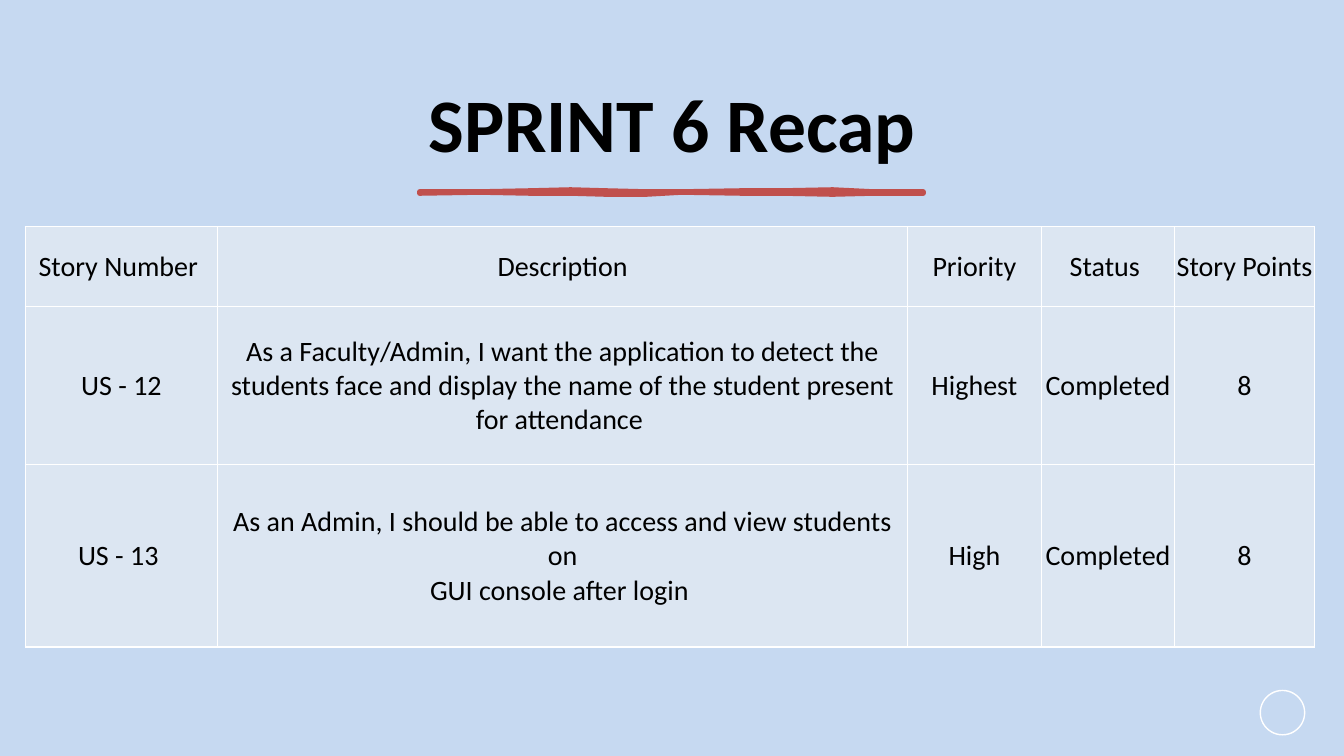
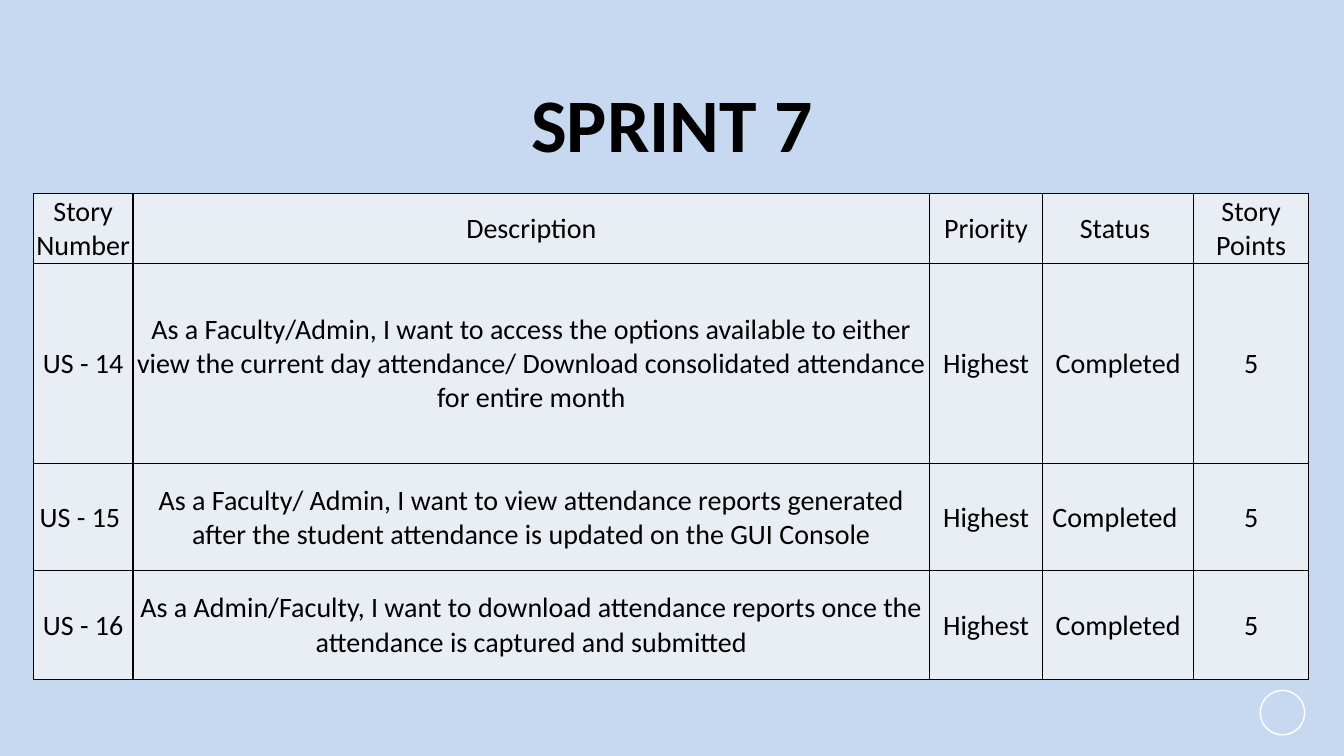
import dataclasses

import lxml.etree
import pptx
import pptx.dml.color
import pptx.enum.shapes
import pptx.enum.text
import pptx.oxml.ns
import pptx.util

Inches = pptx.util.Inches


@dataclasses.dataclass(frozen=True)
class Theme:
    font: str = "Calibri"
    background: str = "C6D9F1"
    text: str = "000000"
    accent: str = "C0504D"
    ring: str = "FFFFFF"
    title_size: int = 54
    table_size: int = 20
    thin_line: float = 1
    accent_line: float = 3.25


@dataclasses.dataclass(frozen=True)
class Box:
    left: float
    top: float
    width: float
    height: float

    def lengths(self):
        return [Inches(side) for side in dataclasses.astuple(self)]


@dataclasses.dataclass(frozen=True)
class TableStyle:
    fill: str
    border: str


THEME = Theme()
TITLE_BOX = Box(0.7, 0.46, 11.93, 1.63)
UNDERLINE_BOX = Box(4.16, 1.9, 5, 0.02)
RING_BOX = Box(12.5, 6.85, 0.44, 0.44)
LIGHT_STYLE = TableStyle(fill="DCE6F2", border="FFFFFF")
GRID_STYLE = TableStyle(fill="E9EDF4", border="000000")

HEADINGS = ("Story Number ", "Description", "Priority", "Status ", "Story Points")
SPRINT_6_STORIES = (
    ("US - 12",
     "As a Faculty/Admin, I want the application to detect the students face "
     "and display the name of the student present for attendance ",
     "Highest", "Completed ", "8"),
    ("US - 13 ",
     "As an Admin, I should be able to access and view students on\v"
     "GUI console after login ",
     "High", "Completed ", "8"),
)
SPRINT_7_STORIES = (
    ("US - 14",
     "As a Faculty/Admin, I want to access the options available to either view "
     "the current day attendance/ Download consolidated attendance for entire month",
     "Highest", "Completed", "5"),
    ("US - 15 ",
     "As a Faculty/ Admin, I want to view attendance reports generated after "
     "the student attendance is updated on the GUI Console",
     "Highest", "Completed ", "5"),
    ("US - 16",
     "As a Admin/Faculty, I want to download attendance reports once "
     "the attendance is captured and submitted",
     "Highest", "Completed", "5"),
)

# Distance along the stroke, then its upper and lower edge, in inches
BRUSH_EDGES = (
    (0, 0, 0.02), (0.6, 0, 0.01), (1.1, -0.01, 0.02), (1.5, -0.02, 0.02),
    (1.85, -0.01, 0.03), (2.25, 0, 0.03), (2.6, 0, 0.01), (3.2, -0.01, 0.02),
    (3.6, -0.01, 0.02), (4.1, -0.02, 0.03), (4.5, 0, 0.02), (5, 0, 0.02),
)


def rgb(value):
    return pptx.dml.color.RGBColor.from_string(value)


def paint(fill, color):
    fill.solid()
    fill.fore_color.rgb = rgb(color)


def format_text(frame, size, bold=False):
    for para in frame.paragraphs:
        para.alignment = pptx.enum.text.PP_ALIGN.CENTER
        for span in para.runs:
            span.font.name = THEME.font
            span.font.size = pptx.util.Pt(size)
            span.font.bold = bold
            span.font.color.rgb = rgb(THEME.text)


def place_title(page, box, text):
    title = page.shapes.title
    title.left, title.top, title.width, title.height = box.lengths()
    frame = title.text_frame
    frame.text = text
    frame.word_wrap = True
    frame.auto_size = pptx.enum.text.MSO_AUTO_SIZE.NONE
    frame.vertical_anchor = pptx.enum.text.MSO_ANCHOR.MIDDLE
    format_text(frame, THEME.title_size, bold=True)
    para = frame.paragraphs[0]
    para.line_spacing = 0.9
    para.space_after = pptx.util.Pt(6)


def draw_underline(page, box):
    """Draw a brush stroke of uneven thickness."""
    upper = [(x, top) for x, top, bottom in BRUSH_EDGES]
    lower = [(x, bottom) for x, top, bottom in reversed(BRUSH_EDGES)]
    points = [(Inches(box.left + x), Inches(box.top + y)) for x, y in upper + lower]
    builder = page.shapes.build_freeform(*points[0])
    builder.add_line_segments(points[1:], close=True)
    stroke = builder.convert_to_shape()
    stroke.shadow.inherit = False
    paint(stroke.fill, THEME.accent)
    paint(stroke.line.fill, THEME.accent)
    stroke.line.width = pptx.util.Pt(THEME.accent_line)


def draw_ring(page, box):
    ring = page.shapes.add_shape(pptx.enum.shapes.MSO_SHAPE.OVAL, *box.lengths())
    ring.shadow.inherit = False
    ring.fill.background()
    paint(ring.line.fill, THEME.ring)
    ring.line.width = pptx.util.Pt(THEME.thin_line)


def add_borders(cell, color):
    properties = cell._tc.get_or_add_tcPr()
    name = pptx.oxml.ns.qn
    for side in ("a:lnL", "a:lnR", "a:lnT", "a:lnB"):
        line = lxml.etree.SubElement(
            properties, name(side), w=str(pptx.util.Pt(THEME.thin_line)))
        fill = lxml.etree.SubElement(line, name("a:solidFill"))
        lxml.etree.SubElement(fill, name("a:srgbClr"), val=color)


def format_cell(cell, text, style):
    cell.text_frame.text = text
    cell.margin_left = cell.margin_right = cell.margin_top = Inches(0.01)
    cell.margin_bottom = 0
    cell.vertical_anchor = pptx.enum.text.MSO_ANCHOR.MIDDLE
    format_text(cell.text_frame, THEME.table_size)
    add_borders(cell, style.border)
    paint(cell.fill, style.fill)


def place_story_table(page, left, top, widths, heights, stories, style):
    rows = (HEADINGS, *stories)
    box = Box(left, top, sum(widths), sum(heights))
    table = page.shapes.add_table(len(rows), len(HEADINGS), *box.lengths()).table
    table.first_row = table.horz_banding = False
    for column, width in zip(table.columns, widths):
        column.width = Inches(width)
    for row, height, texts in zip(table.rows, heights, rows):
        row.height = Inches(height)
        for cell, text in zip(row.cells, texts):
            format_cell(cell, text, style)


def add_sprint_page(deck, title, underlined=False, **table):
    page = deck.slides.add_slide(deck.slide_layouts.get_by_name("Title Only"))
    place_title(page, TITLE_BOX, title)
    if underlined:
        draw_underline(page, UNDERLINE_BOX)
    draw_ring(page, RING_BOX)
    place_story_table(page, **table)


def main():
    deck = pptx.Presentation()
    deck.slide_width = Inches(13.33)
    deck.slide_height = Inches(7.5)
    paint(deck.slide_master.background.fill, THEME.background)
    add_sprint_page(
        deck, "SPRINT 6 Recap", underlined=True, left=0.25, top=2.25,
        widths=(1.91, 6.84, 1.33, 1.32, 1.39), heights=(0.79, 1.57, 1.81),
        stories=SPRINT_6_STORIES, style=LIGHT_STYLE)
    add_sprint_page(
        deck, "SPRINT 7", left=0.33, top=1.92,
        widths=(0.99, 7.9, 1.12, 1.5, 1.14), heights=(0.68, 1.99, 1.06, 1.08),
        stories=SPRINT_7_STORIES, style=GRID_STYLE)
    deck.save("out.pptx")


if __name__ == "__main__":
    main()
